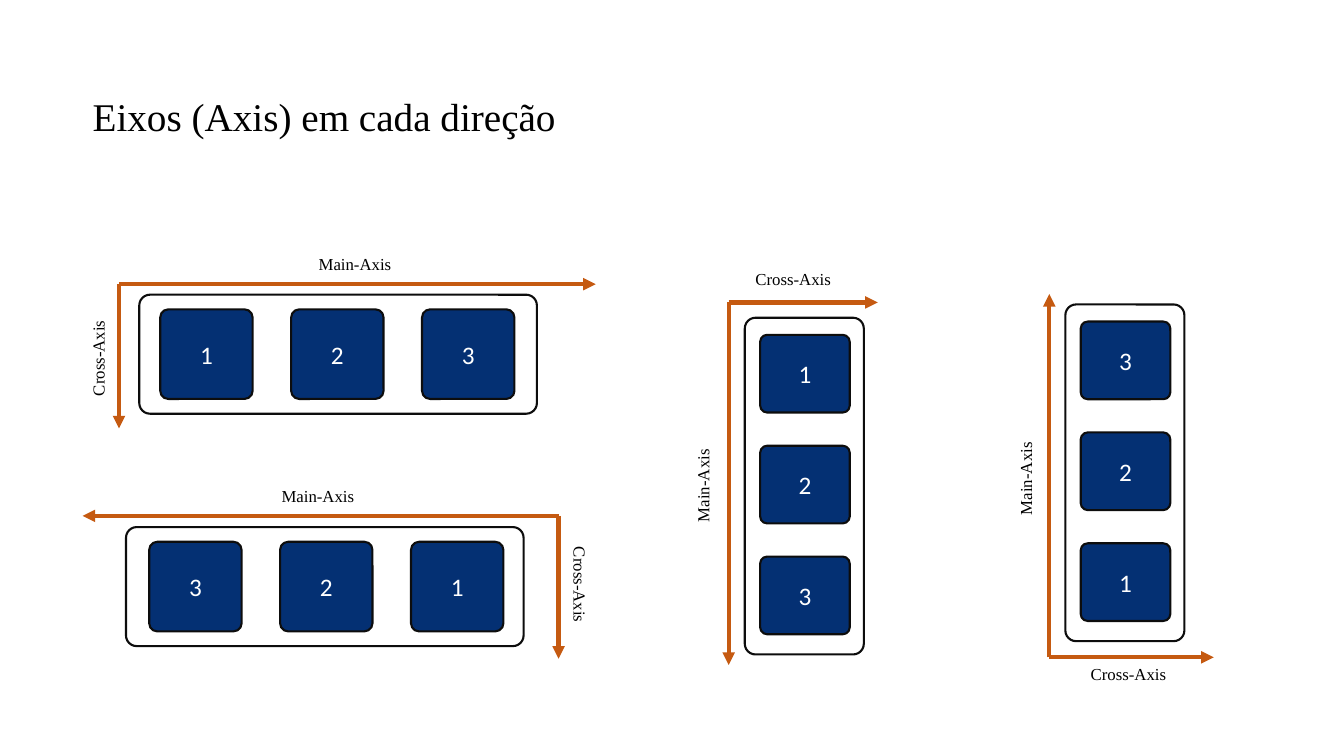
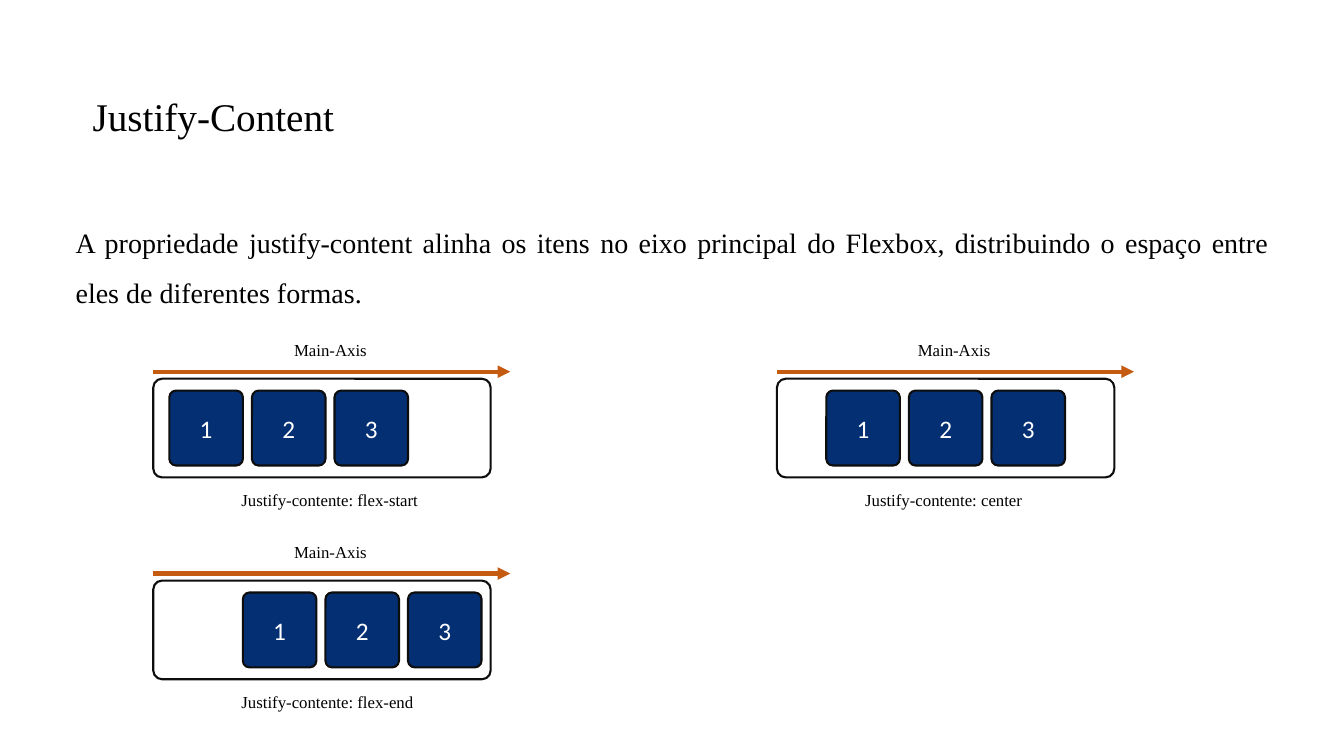
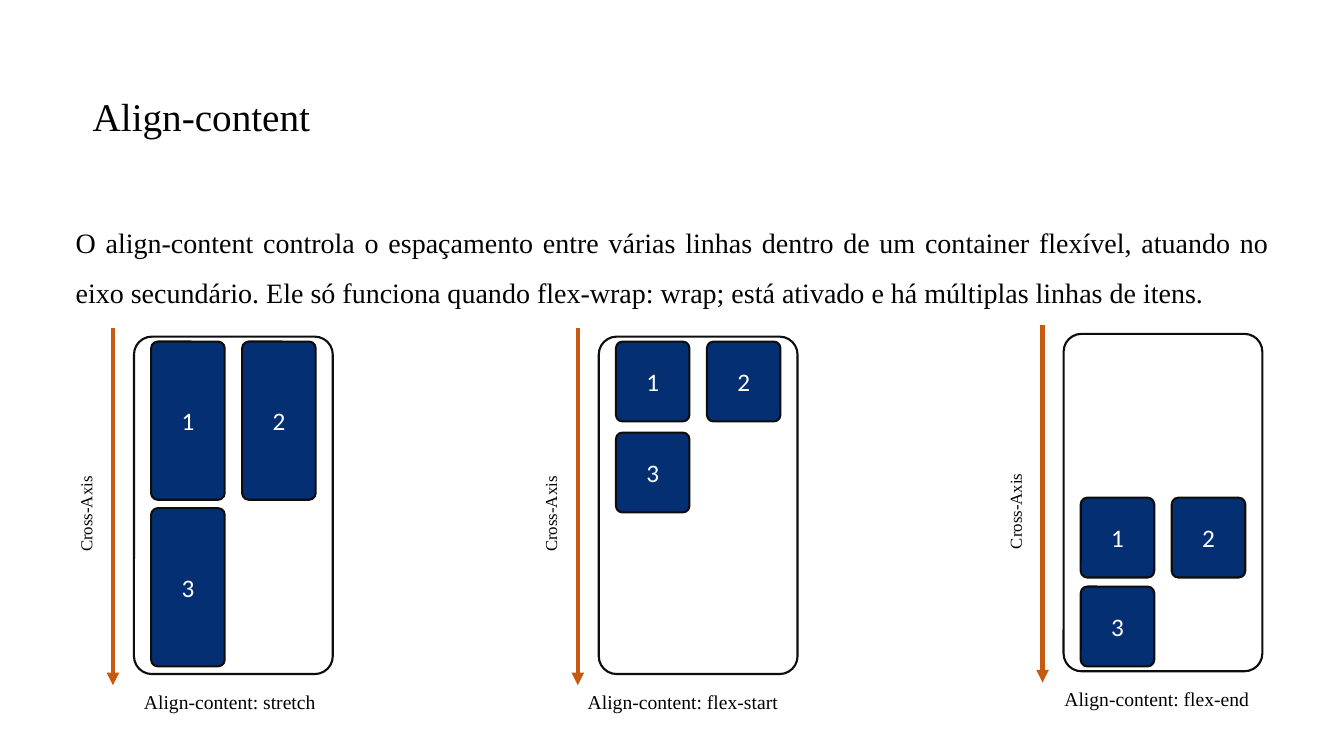
from dataclasses import dataclass

from lxml import etree
from pptx import Presentation
from pptx.dml.color import RGBColor
from pptx.enum.shapes import MSO_CONNECTOR, MSO_SHAPE
from pptx.enum.text import MSO_ANCHOR, MSO_AUTO_SIZE, PP_ALIGN
from pptx.oxml.ns import qn
from pptx.util import Pt

ROUNDED = MSO_SHAPE.ROUNDED_RECTANGLE
STRAIGHT = MSO_CONNECTOR.STRAIGHT
LEFT, CENTER, JUSTIFY = PP_ALIGN.LEFT, PP_ALIGN.CENTER, PP_ALIGN.JUSTIFY
TOP, MIDDLE = MSO_ANCHOR.TOP, MSO_ANCHOR.MIDDLE
NO_AUTOFIT = MSO_AUTO_SIZE.NONE

LAYOUT_TEXT, LAYOUT_TITLE_ONLY = 1, 5
MAIN, CROSS = "Main-Axis", "Cross-Axis"
UP, DOWN = 270, 90


@dataclass(frozen=True)
class Theme:
    text: RGBColor = RGBColor(0x00, 0x00, 0x00)
    paper: RGBColor = RGBColor(0xFF, 0xFF, 0xFF)
    item: RGBColor = RGBColor(0x04, 0x30, 0x73)
    outline: RGBColor = RGBColor(0x0D, 0x0D, 0x0D)
    axis: RGBColor = RGBColor(0xC5, 0x5A, 0x11)
    serif: str = "Times New Roman"
    sans: str = "Calibri"
    title_size: int = 28
    body_size: int = 20
    item_size: int = 18
    caption_size: int = 14
    label_size: int = 12
    outline_width: float = 1.5
    axis_width: float = 3
    corner: float = 0.09


@dataclass(frozen=True)
class Box:
    x: float
    y: float
    w: float
    h: float

    def pts(self):
        return Pt(self.x), Pt(self.y), Pt(self.w), Pt(self.h)


@dataclass(frozen=True)
class Axes:
    """Two arrows leaving one corner; all values relative to the container."""
    corner: tuple
    x_end: float
    y_end: float
    x_label: tuple
    y_label: tuple
    y_turn: int = UP


T = Theme()
TITLE_BOX = Box(59, 67, 741, 35.3)
BODY_BOX = Box(46.8, 145.4, 867, 89.3)


def add_run(p, text, size, font=T.serif, color=T.text):
    r = p.add_run()
    r.text = text
    r.font.size, r.font.name = Pt(size), font
    r.font.color.rgb = color


def fill_placeholder(ph, box, text, size, align, anchor, spacing):
    ph.left, ph.top, ph.width, ph.height = box.pts()
    tf = ph.text_frame
    tf.auto_size, tf.vertical_anchor, tf.word_wrap = NO_AUTOFIT, anchor, True
    p = tf.paragraphs[0]
    p.alignment, p.line_spacing, p.space_before = align, spacing, Pt(0)
    add_run(p, text, size)
    return p


def new_slide(prs, title, body=None):
    layout = LAYOUT_TEXT if body else LAYOUT_TITLE_ONLY
    s = prs.slides.add_slide(prs.slide_layouts[layout])
    fill_placeholder(s.shapes.title, TITLE_BOX, title, T.title_size,
                     LEFT, MIDDLE, 0.9)
    if body:
        p = fill_placeholder(s.placeholders[1], BODY_BOX, body, T.body_size,
                             JUSTIFY, TOP, 1.5)
        pPr = p._p.get_or_add_pPr()
        pPr.set("marL", "0")
        pPr.set("indent", "0")
        etree.SubElement(pPr, qn("a:buNone"))
    return s


def rounded(s, box, fill):
    sp = s.shapes.add_shape(ROUNDED, *box.pts())
    sp.adjustments[0] = T.corner
    sp.shadow.inherit = False
    sp.fill.solid()
    sp.fill.fore_color.rgb = fill
    sp.line.color.rgb = T.outline
    sp.line.width = Pt(T.outline_width)
    return sp


def flex_item(s, box, number):
    tf = rounded(s, box, T.item).text_frame
    tf.vertical_anchor = MIDDLE
    p = tf.paragraphs[0]
    p.alignment = CENTER
    add_run(p, number, T.item_size, T.sans, T.paper)


def flex_items(s, box, numbers, first, pitch, size, columns):
    """Fill a grid row by row; first is the offset of its top left cell."""
    for i, number in enumerate(numbers):
        row, col = divmod(i, columns)
        flex_item(s, Box(box.x + first[0] + col * pitch[0],
                         box.y + first[1] + row * pitch[1], *size), number)


def arrow(s, box, start, end):
    c = s.shapes.add_connector(
        STRAIGHT, Pt(box.x + start[0]), Pt(box.y + start[1]),
        Pt(box.x + end[0]), Pt(box.y + end[1]))
    c.line.color.rgb = T.axis
    c.line.width = Pt(T.axis_width)
    etree.SubElement(c.line._get_or_add_ln(), qn("a:tailEnd"), type="triangle")
    etree.SubElement(c._element.spPr, qn("a:effectLst"))


def label(s, box, text, centre, width, turn=0, size=T.label_size):
    """Write one line of text around a centre relative to the box."""
    height = size * 1.8
    sp = s.shapes.add_textbox(
        Pt(box.x + centre[0] - width / 2), Pt(box.y + centre[1] - height / 2),
        Pt(width), Pt(height))
    sp.rotation = turn
    tf = sp.text_frame
    tf.word_wrap = True
    tf.margin_right = 0
    add_run(tf.paragraphs[0], text, size)


def direction_diagram(s, box, numbers, first, axes):
    is_row = box.w > box.h
    rounded(s, box, T.paper)
    if is_row:
        flex_items(s, box, numbers, first, (93.5, 0), (66, 64), 3)
    else:
        flex_items(s, box, numbers, first, (0, 79.2), (64, 55.5), 1)
    x, y = axes.corner
    arrow(s, box, axes.corner, (axes.x_end, y))
    arrow(s, box, axes.corner, (x, axes.y_end))
    x_name, y_name = (MAIN, CROSS) if is_row else (CROSS, MAIN)
    label(s, box, x_name, axes.x_label, 70)
    label(s, box, y_name, axes.y_label, 70, axes.y_turn)


def justify_diagram(s, box, value, first_x):
    size, pitch = (52.5, 53.5), 59
    rounded(s, box, T.paper)
    flex_items(s, box, "123", (first_x, (box.h - size[1]) / 2), (pitch, 0),
               size, 3)
    arrow(s, box, (0, -5), (255, -5))
    label(s, box, MAIN, (127, -20.7), 67)
    label(s, box, f"Justify-contente: {value}", (127.4, 86.6), 143)


def align_diagram(s, box, value, first_y, pitch_y, item_h, caption):
    """caption holds the left offset and the width of the caption."""
    rounded(s, box, T.paper)
    flex_items(s, box, "123", (12.3, first_y), (65, pitch_y),
               (52.5, item_h), 2)
    arrow(s, box, (-15, -6), (-15, 249))
    label(s, box, CROSS, (-34.5, box.h / 2), 80.6, UP)
    left, width = caption
    label(s, box, f"Align-content: {value}", (left + width / 2, 261.5), width,
          size=T.caption_size)


def axes_slide(prs):
    s = new_slide(prs, "Eixos (Axis) em cada direção")
    row, column = (284, 85), (85, 240.5)
    direction_diagram(
        s, Box(99.5, 210.5, *row), "123", (15, 10.5),
        Axes((-14.5, -7.5), 326, 95.5, (156, -22), (-29.5, 44.5)))
    direction_diagram(
        s, Box(90, 376.5, *row), "321", (16.6, 10.5),
        Axes((309, -8), -31, 94, (139, -22.5), (324.5, 42), DOWN))
    direction_diagram(
        s, Box(532, 227, *column), "123", (11, 12.2),
        Axes((-11.5, -11), 95, 248, (35.5, -27.5), (-30, 118)))
    direction_diagram(
        s, Box(761, 217.5, *column), "321", (11, 12.2),
        Axes((-11.5, 252), 106, -7.5, (46, 263.5), (-28.5, 122.5)))


def justify_slide(prs):
    s = new_slide(
        prs, "Justify-Content",
        "A propriedade justify-content alinha os itens no eixo principal do "
        "Flexbox, distribuindo o espaço entre eles de diferentes formas.")
    left, right, upper, lower = 109.5, 555, 270.5, 414.7
    for x, y, value, first_x in (
            (left, upper, "flex-start", 11.5),
            (left, lower, "flex-end", 64),
            (right, upper, "center", 35.25)):
        justify_diagram(s, Box(x, y, 241, 70.5), value, first_x)


def align_slide(prs):
    s = new_slide(
        prs, "Align-content",
        "O align-content controla o espaçamento entre várias linhas dentro de "
        "um container flexível, atuando no eixo secundário. Ele só funciona "
        "quando flex-wrap: wrap; está ativado e há múltiplas linhas de itens.")
    variants = (
        (240.5, "stretch", 3.5, 119, 113, (0, 142)),
        (240.5, "flex-start", 3.5, 65, 57, (-15, 157)),
        (238.5, "flex-end", 117, 63.5, 57, (-6.5, 148)))
    for i, (y, *variant) in enumerate(variants):
        align_diagram(s, Box(95.7 + i * 332, y, 142, 241), *variant)


def main():
    prs = Presentation()
    prs.slide_width, prs.slide_height = Pt(960), Pt(540)
    axes_slide(prs)
    justify_slide(prs)
    align_slide(prs)
    prs.save("out.pptx")


if __name__ == "__main__":
    main()
